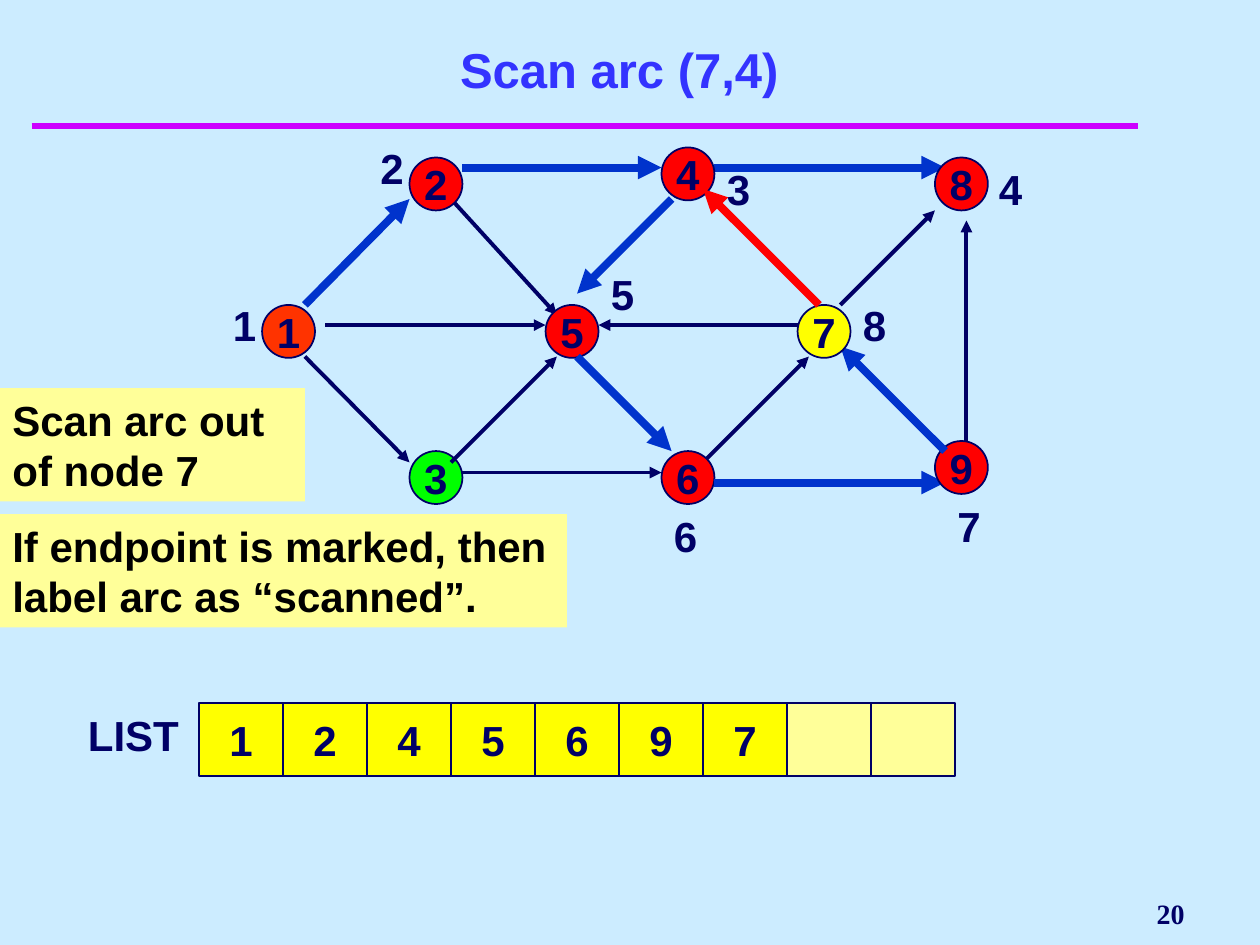
from dataclasses import dataclass

from lxml import etree
from pptx import Presentation
from pptx import util as u
from pptx.dml.color import RGBColor
from pptx.enum import shapes, text
from pptx.oxml import ns
from pptx.slide import Slide

SKY = RGBColor(0xCC, 0xEC, 0xFF)
NAVY = RGBColor(0x00, 0x00, 0x66)
BLACK = RGBColor(0x00, 0x00, 0x00)
TITLE_BLUE = RGBColor(0x33, 0x33, 0xFF)
ARC_BLUE = RGBColor(0x00, 0x33, 0xCC)
MAGENTA = RGBColor(0xCC, 0x00, 0xFF)
RED = RGBColor(0xFF, 0x00, 0x00)
ORANGE = RGBColor(0xFF, 0x33, 0x00)
GREEN = RGBColor(0x00, 0xFF, 0x00)
YELLOW = RGBColor(0xFF, 0xFF, 0x00)
PALE = RGBColor(0xFF, 0xFF, 0x99)

LEFT, CENTER, RIGHT = text.PP_ALIGN.LEFT, text.PP_ALIGN.CENTER, text.PP_ALIGN.RIGHT
TOP, MIDDLE, BOTTOM = text.MSO_ANCHOR.TOP, text.MSO_ANCHOR.MIDDLE, text.MSO_ANCHOR.BOTTOM
RECTANGLE, OVAL = shapes.MSO_SHAPE.RECTANGLE, shapes.MSO_SHAPE.OVAL

NODE_SIZE = 0.42
NODES = {  # name: left, top, fill
    "1": (2.08, 2.42, ORANGE), "2": (3.25, 1.25, RED), "3": (3.25, 3.58, GREEN),
    "4": (5.25, 1.17, RED), "5": (4.33, 2.42, RED), "6": (5.25, 3.58, RED),
    "7": (6.33, 2.42, YELLOW), "8": (7.42, 1.25, RED), "9": (7.42, 3.5, RED),
}
VISIT_LABELS = [  # order number, left, top
    ("1", 1.75, 2.33), ("2", 2.92, 1.08), ("3", 5.67, 1.25), ("4", 7.83, 1.25),
    ("5", 4.75, 2.08), ("6", 5.25, 4), ("7", 7.5, 3.92), ("8", 6.75, 2.33),
]
UNSCANNED_ARCS = [
    ((6.67, 2.42), (7.42, 1.67)), ((2.58, 2.58), (4.33, 2.58)),
    ((3.58, 3.67), (4.42, 2.83)), ((3.67, 3.75), (5.25, 3.75)),
    ((7.67, 3.5), (7.67, 1.75)), ((2.42, 2.83), (3.25, 3.67)),
    ((3.58, 1.58), (4.42, 2.5)), ((6.33, 2.58), (4.75, 2.58)),
    ((5.58, 3.67), (6.42, 2.83)),
]
ARC_4_TO_8 = ((5.67, 1.33), (7.5, 1.33))
SCANNED_ARCS = {  # tail node: the arc drawn over it
    "1": ((2.42, 2.42), (3.25, 1.58)), "2": ((3.67, 1.33), (5.25, 1.33)),
    "4": ((5.33, 1.58), (4.58, 2.33)), "5": ((4.58, 2.83), (5.33, 3.58)),
    "6": ((5.67, 3.83), (7.5, 3.83)), "9": ((7.5, 3.58), (6.67, 2.75)),
}
ARC_7_TO_4 = ((6.5, 2.42), (5.58, 1.5))
LIST_ENTRIES = ["1", "2", "4", "5", "6", "9", "7", "", ""]
CELL_WIDTH = 2 / 3


@dataclass
class GraphSlide:
    slide: Slide
    font: str = "Arial"
    size: float = 24
    ink: RGBColor = NAVY
    outline: float = 1
    thin: float = 2.25
    thick: float = 4.5

    def add_words(self, shape, words, align=LEFT, anchor=TOP, wrap=True,
                  size=None, color=None, font=None):
        frame = shape.text_frame
        frame.word_wrap = wrap
        frame.vertical_anchor = anchor
        paragraph = frame.paragraphs[0]
        paragraph.alignment = align
        run = paragraph.add_run()
        run.text = words
        run.font.name = font or self.font
        run.font.size = u.Pt(size or self.size)
        run.font.bold = True
        run.font.color.rgb = color or self.ink

    def text_box(self, words, left, top, width, height, fill=None, **style):
        box = self.slide.shapes.add_textbox(
            *map(u.Inches, (left, top, width, height)))
        if fill is not None:
            box.fill.solid()
            box.fill.fore_color.rgb = fill
        self.add_words(box, words, **style)

    def outlined(self, kind, words, left, top, width, height, fill):
        """Add a filled, outlined shape with centred text, if any."""
        shape = self.slide.shapes.add_shape(
            kind, *map(u.Inches, (left, top, width, height)))
        shape.shadow.inherit = False
        shape.fill.solid()
        shape.fill.fore_color.rgb = fill
        shape.line.color.rgb = self.ink
        shape.line.width = u.Pt(self.outline)
        if words:
            self.add_words(shape, words, align=CENTER, anchor=MIDDLE, wrap=False)

    def node(self, name):
        left, top, fill = NODES[name]
        self.outlined(OVAL, name, left, top, NODE_SIZE, NODE_SIZE, fill)

    def line(self, start, end, color, width):
        connector = self.slide.shapes.add_connector(
            shapes.MSO_CONNECTOR.STRAIGHT, *map(u.Inches, (*start, *end)))
        connector.line.color.rgb = color
        connector.line.width = u.Pt(width)
        properties = connector.element.spPr
        etree.SubElement(properties, ns.qn("a:effectLst"))
        return properties

    def arc(self, ends, color=None):
        """Add an arrow: thick in the given colour, else thin in ink."""
        width = self.thick if color is not None else self.thin
        properties = self.line(*ends, color or self.ink, width)
        etree.SubElement(properties.find(ns.qn("a:ln")), ns.qn("a:tailEnd"),
                         type="triangle")


def main():
    presentation = Presentation()
    presentation.slide_width = u.Inches(10)
    presentation.slide_height = u.Inches(7.5)
    slide = presentation.slides.add_slide(presentation.slide_layouts[6])
    slide.background.fill.solid()
    slide.background.fill.fore_color.rgb = SKY
    graph = GraphSlide(slide)

    graph.line((0.25, 1), (9.03, 1), MAGENTA, 4)
    graph.text_box("20", 7.58, 7, 1.92, 0.5, align=RIGHT, anchor=MIDDLE,
                   wrap=False, size=16, font="Times New Roman")
    graph.text_box("Scan arc (7,4)", 0.5, 0.25, 8.83, 0.58, align=CENTER,
                   anchor=BOTTOM, size=28, color=TITLE_BLUE)

    for number, left, top in VISIT_LABELS:
        graph.text_box(number, left, top, 0.33, 0.5, fill=SKY)

    graph.node("3")
    for ends in UNSCANNED_ARCS:
        graph.arc(ends)
    graph.arc(ARC_4_TO_8, ARC_BLUE)
    for name in "12845697":
        graph.node(name)
        if name in SCANNED_ARCS:
            graph.arc(SCANNED_ARCS[name], ARC_BLUE)
    graph.arc(ARC_7_TO_4, RED)

    graph.text_box("LIST", 0.6, 5.58, 0.93, 0.5, wrap=False)
    for index, entry in enumerate(LIST_ENTRIES):
        graph.outlined(RECTANGLE, entry, 1.58 + index * CELL_WIDTH, 5.58,
                       CELL_WIDTH, 0.58, YELLOW if entry else PALE)

    graph.text_box("Scan arc out of node 7", 0, 3.08, 2.42, 0.9,
                   fill=PALE, color=BLACK)
    graph.text_box("If endpoint is marked, then label arc as “scanned”.",
                   0, 4.08, 4.5, 0.9, fill=PALE, color=BLACK)

    presentation.save("out.pptx")


if __name__ == "__main__":
    main()
